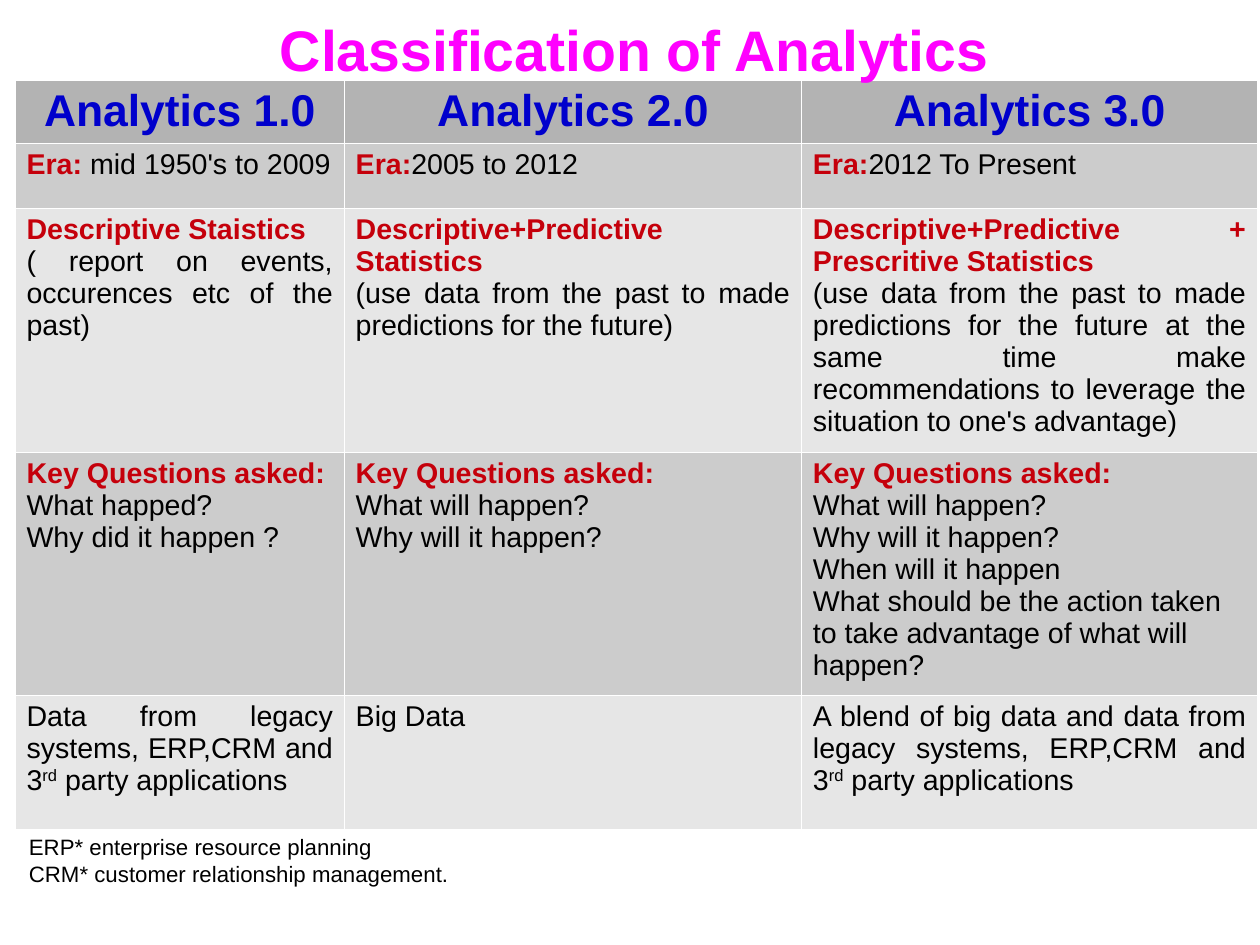
from lxml.etree import SubElement
from pptx import Presentation
from pptx.dml.color import RGBColor
from pptx.enum.text import MSO_ANCHOR, MSO_AUTO_SIZE, PP_ALIGN
from pptx.oxml.ns import qn
from pptx.util import Cm, Inches, Pt

WIDTH, HEIGHT = Cm(28), Cm(21)
MAGENTA = RGBColor(0xFF, 0x00, 0xFF)
BLUE = RGBColor(0x00, 0x00, 0xCC)
RED = RGBColor(0xC5, 0x00, 0x0B)
BLACK = RGBColor(0x00, 0x00, 0x00)
WHITE = RGBColor(0xFF, 0xFF, 0xFF)
HEADER_GREY = RGBColor(0xB3, 0xB3, 0xB3)
DARK_GREY = RGBColor(0xCC, 0xCC, 0xCC)
LIGHT_GREY = RGBColor(0xE6, 0xE6, 0xE6)

TITLE = {"size": Pt(36), "bold": True, "color": MAGENTA}
HEADER = {"size": Pt(28), "bold": True, "color": BLUE}
LABEL = {"size": Pt(18), "bold": True, "color": RED}
BODY = {"size": Pt(18), "bold": False, "color": BLACK}
RAISED = {**BODY, "baseline": "33000"}
FOOTNOTE = {"size": Pt(14), "bold": False, "color": BLACK}

LEFT, CENTER, JUSTIFY = PP_ALIGN.LEFT, PP_ALIGN.CENTER, PP_ALIGN.JUSTIFY
COLUMN_WIDTHS = [2.88, 4.0, 3.99]
ROW_HEIGHTS = [0.55, 0.57, 2.13, 2.13, 1.17]
ROW_FILLS = [HEADER_GREY, DARK_GREY, LIGHT_GREY, DARK_GREY, LIGHT_GREY]


def line(text, style=BODY, align=LEFT):
    return align, [(text, style)]


def era(years):
    return [(LEFT, [("Era:", LABEL), (years, BODY)])]


def method(name, detail, align=LEFT):
    return [line(name, LABEL, align), line(detail, BODY, JUSTIFY)]


def questions(*asked):
    return [line("Key Questions asked:", LABEL), *map(line, asked)]


def legacy_data(opening):
    return [(JUSTIFY, [(f"{opening} legacy systems, ERP,CRM and 3", BODY),
                       ("rd", RAISED), (" party applications", BODY)])]


ROWS = [
    [[line(f"Analytics {version}.0", HEADER, CENTER)] for version in (1, 2, 3)],
    [era(" mid 1950's to 2009"), era("2005 to 2012"), era("2012 To Present")],
    [
        method("Descriptive Staistics",
               "( report on events, occurences etc of the past)"),
        method("Descriptive+Predictive Statistics",
               "(use data from the past to made predictions for the future)"),
        method("Descriptive+Predictive + Prescritive Statistics",
               "(use data from the past to made predictions for the future "
               "at the same time make recommendations to leverage the "
               "situation to one's advantage)", JUSTIFY),
    ],
    [
        questions("What happed?", "Why did it happen ?"),
        questions("What will happen?", "Why will it happen?"),
        questions("What will happen?", "Why will it happen?",
                  "When will it happen",
                  "What should be the action taken to take advantage of "
                  "what will happen?"),
    ],
    [legacy_data("Data from"), [line("Big Data")],
     legacy_data("A blend of big data and data from")],
]


def style_run(run, style):
    run.font.name = "Arial"
    for key, value in style.items():
        if key == "color":
            run.font.color.rgb = value
        elif key == "baseline":
            run.font._element.set(key, value)
        else:
            setattr(run.font, key, value)


def write(frame, paragraphs):
    frame.word_wrap = True
    for index, (align, runs) in enumerate(paragraphs):
        paragraph = frame.add_paragraph() if index else frame.paragraphs[0]
        paragraph.alignment = align
        for text, style in runs:
            run = paragraph.add_run()
            run.text = text
            style_run(run, style)


def place(shape, left, top, width, height):
    box = {"left": left * WIDTH, "top": top * HEIGHT,
           "width": width * WIDTH, "height": height * HEIGHT}
    for side, share in box.items():
        setattr(shape, side, round(share))


def add_borders(cell):
    properties = cell._tc.get_or_add_tcPr()
    for side in ("lnL", "lnR", "lnT", "lnB"):
        border = SubElement(properties, qn(f"a:{side}"), w=str(Pt(0.06)))
        fill = SubElement(border, qn("a:solidFill"))
        SubElement(fill, qn("a:srgbClr"), val=str(WHITE))


def add_comparison(slide):
    frame = slide.shapes.add_table(len(ROWS), len(COLUMN_WIDTHS), 0, 0,
                                   WIDTH, HEIGHT)
    place(frame, 0.012, 0.085, 0.986, 0.792)
    comparison = frame.table
    comparison.first_row = comparison.horz_banding = False
    for column, width in zip(comparison.columns, COLUMN_WIDTHS):
        column.width = Inches(width)
    for row, height, contents, grey in zip(comparison.rows, ROW_HEIGHTS,
                                           ROWS, ROW_FILLS):
        row.height = Inches(height)
        for cell, paragraphs in zip(row.cells, contents):
            add_borders(cell)
            cell.fill.solid()
            cell.fill.fore_color.rgb = grey
            write(cell.text_frame, paragraphs)


def add_title(slide, text):
    heading = slide.shapes.title
    place(heading, 0.007, 0.009, 0.993, 0.111)
    heading.text_frame.vertical_anchor = MSO_ANCHOR.TOP
    heading.text_frame.auto_size = MSO_AUTO_SIZE.NONE
    write(heading.text_frame, [line(text, TITLE, CENTER)])
    slide.shapes._spTree.append(heading._element)


def add_footnotes(slide, *notes):
    footnotes = slide.shapes.add_textbox(0, 0, WIDTH, HEIGHT)
    place(footnotes, 0.014, 0.876, 0.55, 0.085)
    write(footnotes.text_frame, [line(note, FOOTNOTE) for note in notes])


def main():
    deck = Presentation()
    deck.slide_width = WIDTH
    deck.slide_height = HEIGHT
    slide = deck.slides.add_slide(deck.slide_layouts[5])
    add_comparison(slide)
    add_title(slide, "Classification of Analytics")
    add_footnotes(slide, "ERP* enterprise resource planning",
                  "CRM* customer relationship management.")
    deck.save("out.pptx")


if __name__ == "__main__":
    main()
